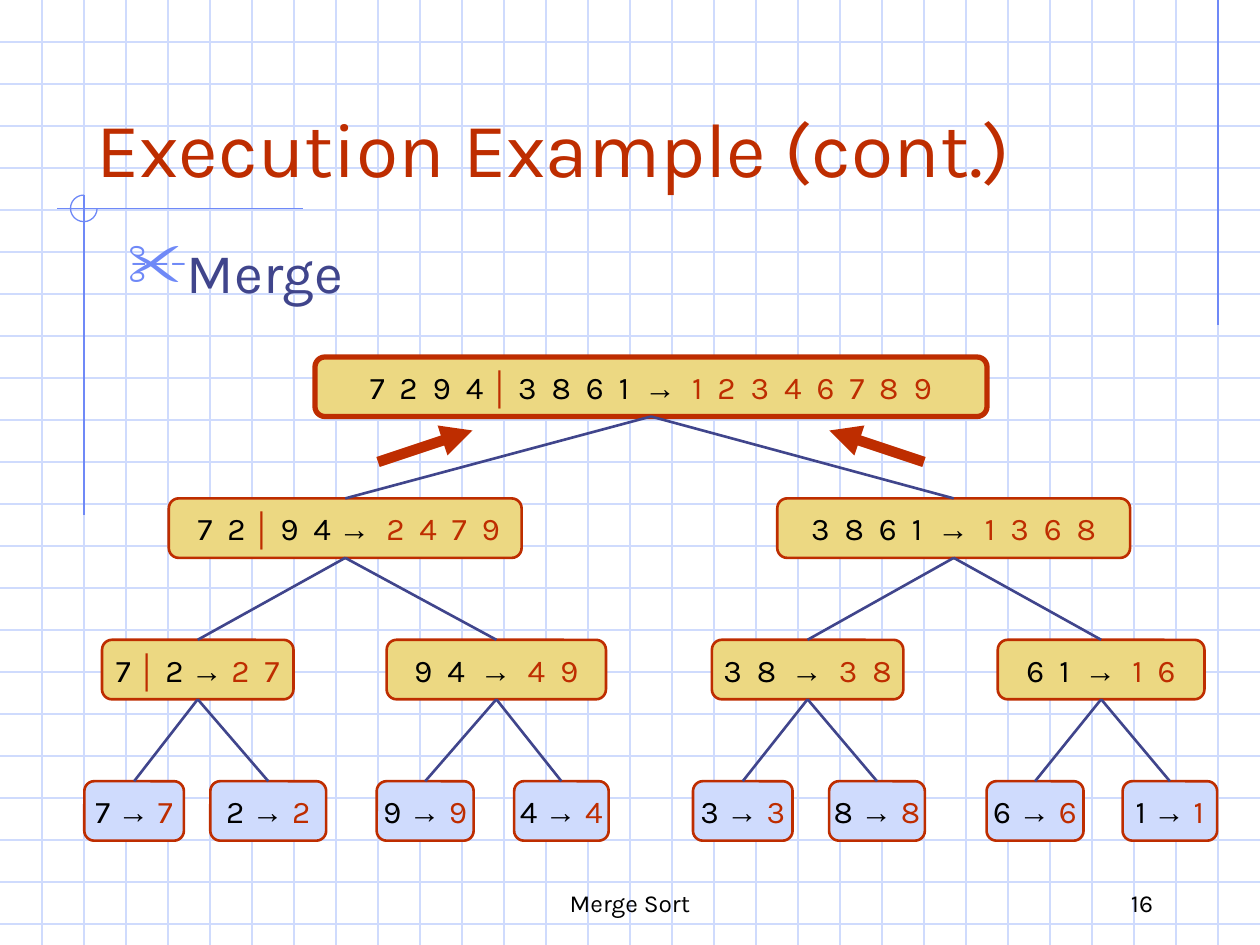
from typing import NamedTuple

from lxml.etree import SubElement
from pptx import Presentation
from pptx.dml.color import RGBColor
from pptx.enum.shapes import MSO_CONNECTOR, MSO_SHAPE
from pptx.enum.text import MSO_ANCHOR, PP_ALIGN
from pptx.oxml.ns import qn
from pptx.util import Pt

WIDTH, HEIGHT = 720, 540
GRID_STEP = 24
LEVEL_TOP, LEVEL_STEP, NODE_HEIGHT = 204, 80.8, 34
BLACK, RED, NAVY = "000000", "BE2D00", "40458C"
PALE_BLUE, BLUE, GOLD = "CFDBFD", "6F89F7", "ECD882"
TEXT_FONT, SYMBOL_FONT = "Karla", "Arial"
ARROW, DIVIDER = "→", "│"


class Node(NamedTuple):
    level: int
    left: float
    width: float
    label: str


class Caption(NamedTuple):
    text: str
    left: float
    top: float
    width: float
    height: float
    size: float
    color: str
    align: PP_ALIGN = PP_ALIGN.LEFT
    anchor: MSO_ANCHOR = MSO_ANCHOR.BOTTOM


# Listed level by level, so the parent of node i is node (i - 1) // 2.
NODES = [
    Node(0, 180, 384, "7  2  9  4 │ 3  8  6  1  →  1  2  3  4  6  7  8  9"),
    Node(1, 96.5, 201.6, " 7  2 │ 9  4 →  2  4  7  9"),
    Node(1, 444.2, 201.6, "3  8  6  1  →  1  3  6  8"),
    Node(2, 58.3, 109.4, "7 │ 2 → 2  7"),
    Node(2, 221, 125.3, "9  4  →  4  9"),
    Node(2, 406.8, 109.4, "3  8  →  3  8"),
    Node(2, 570.2, 118.1, "6  1  →  1  6"),
    Node(3, 48.2, 56.9, "7 → 7"),
    Node(3, 120.2, 66.2, "2 → 2"),
    Node(3, 215.3, 55.4, "9 → 9"),
    Node(3, 293.8, 54, "4 → 4"),
    Node(3, 396, 56.9, "3 → 3"),
    Node(3, 473.8, 54.7, "8 → 8"),
    Node(3, 563.8, 55.4, "6 → 6"),
    Node(3, 641.5, 54, "1 → 1"),
]

TITLE = Caption("Execution Example (cont.)", 48, 24, 612, 90, 44, RED)
BODY = Caption("Merge", 66, 132, 612, 54, 32, NAVY, anchor=MSO_ANCHOR.TOP)
FOOTER = Caption("Merge Sort", 246, 492, 228, 36, 14, BLACK, PP_ALIGN.CENTER)
NUMBER = Caption("16", 516, 492, 150, 36, 14, BLACK, PP_ALIGN.RIGHT)


def rgb(color: str) -> RGBColor:
    return RGBColor.from_string(color)


def draw_line(shapes, start: tuple, end: tuple, color: str, weight: float = 0.75):
    line = shapes.add_connector(MSO_CONNECTOR.STRAIGHT, *map(Pt, start + end))
    line.line.color.rgb = rgb(color)
    line.line.width = Pt(weight)
    SubElement(line._element.spPr, qn("a:effectLst"))
    return line


def draw_grid(shapes) -> None:
    for y in range(GRID_STEP, HEIGHT, GRID_STEP):
        draw_line(shapes, (0, y), (WIDTH, y), PALE_BLUE)
    for x in range(GRID_STEP, WIDTH, GRID_STEP):
        draw_line(shapes, (x, 0), (x, HEIGHT), PALE_BLUE)


def draw_ornament(shapes) -> None:
    """Draw the blue rules and the three-quarter circle where two of them cross."""
    draw_line(shapes, (696, 0), (696, 186), BLUE)
    draw_line(shapes, (173, 119.3), (32.5, 119.3), BLUE)
    draw_line(shapes, (48, 111.5), (48, 294.5), BLUE)
    circle = shapes.add_shape(MSO_SHAPE.ARC, Pt(40.3), Pt(111.5), Pt(15.2), Pt(15.2))
    circle.adjustments[0] = 0
    circle.adjustments[1] = 162
    circle.shadow.inherit = False
    circle.fill.background()
    circle.line.color.rgb = rgb(BLUE)
    circle.line.width = Pt(0.75)


def draw_caption(shapes, caption: Caption):
    """Add a text box and return its paragraph."""
    box = shapes.add_textbox(*map(Pt, caption[1:5]))
    frame = box.text_frame
    frame.word_wrap = True
    frame.vertical_anchor = caption.anchor
    para = frame.paragraphs[0]
    para.text = caption.text
    para.alignment = caption.align
    para.font.size = Pt(caption.size)
    para.font.name = TEXT_FONT
    para.font.color.rgb = rgb(caption.color)
    return para


def add_bullet(para, symbol: str, color: str, indent: float) -> None:
    properties = para._p.get_or_add_pPr()
    properties.set("marL", str(Pt(indent)))
    properties.set("indent", str(-Pt(indent)))
    para.space_before = Pt(8)
    bullet_color = SubElement(properties, qn("a:buClr"))
    SubElement(bullet_color, qn("a:srgbClr"), val=color)
    SubElement(properties, qn("a:buSzPct"), val="110000")
    SubElement(properties, qn("a:buChar"), char=symbol)
    defaults = properties.find(qn("a:defRPr"))
    if defaults is not None:
        properties.append(defaults)


def add_span(para, text: str, color: str, symbol: bool = False) -> None:
    span = para.add_run()
    span.text = text
    span.font.name = SYMBOL_FONT if symbol else TEXT_FONT
    span.font.bold = symbol
    span.font.color.rgb = rgb(color)


def write_label(para, label: str) -> None:
    """Write the unsorted values in black and the sorted ones in red."""
    unsorted, _, result = label.partition(ARROW + " ")
    first, divider, second = unsorted.partition(DIVIDER)
    add_span(para, first, BLACK)
    if divider:
        add_span(para, divider, RED, symbol=True)
        add_span(para, second, BLACK)
    add_span(para, ARROW + " ", BLACK, symbol=True)
    add_span(para, result, RED)


def draw_node(shapes, node: Node):
    top = LEVEL_TOP + node.level * LEVEL_STEP
    box = shapes.add_shape(MSO_SHAPE.ROUNDED_RECTANGLE, Pt(node.left), Pt(top),
                           Pt(node.width), Pt(NODE_HEIGHT))
    box.shadow.inherit = False
    box.fill.solid()
    box.fill.fore_color.rgb = rgb(PALE_BLUE if node.level == 3 else GOLD)
    box.line.color.rgb = rgb(RED)
    box.line.width = Pt(3 if node.level == 0 else 1.5)
    frame = box.text_frame
    frame.word_wrap = False
    frame.vertical_anchor = MSO_ANCHOR.MIDDLE
    para = frame.paragraphs[0]
    para.alignment = PP_ALIGN.CENTER
    para.font.size = Pt(18)
    write_label(para, node.label)
    return box


def draw_tree(shapes) -> None:
    boxes = [draw_node(shapes, node) for node in NODES]
    for index, child in enumerate(boxes[1:], start=1):
        branch = draw_line(shapes, (0, 0), (0, 0), NAVY, 1.5)
        branch.begin_connect(boxes[(index - 1) // 2], 2)
        branch.end_connect(child, 0)


def draw_merge_arrow(shapes, start: tuple, end: tuple) -> None:
    arrow = draw_line(shapes, start, end, RED, 6)
    SubElement(arrow.line._get_or_add_ln(), qn("a:tailEnd"), type="triangle")


def main() -> None:
    deck = Presentation()
    deck.slide_width, deck.slide_height = Pt(WIDTH), Pt(HEIGHT)
    page = deck.slides.add_slide(deck.slide_layouts[6])
    shapes = page.shapes
    draw_grid(shapes)
    draw_ornament(shapes)
    for caption in (FOOTER, NUMBER, TITLE):
        draw_caption(shapes, caption)
    add_bullet(draw_caption(shapes, BODY), "✂", BLUE, 27)
    draw_tree(shapes)
    draw_merge_arrow(shapes, (216, 264), (270, 246))
    draw_merge_arrow(shapes, (528, 264), (474, 246))
    deck.save("out.pptx")


if __name__ == "__main__":
    main()
